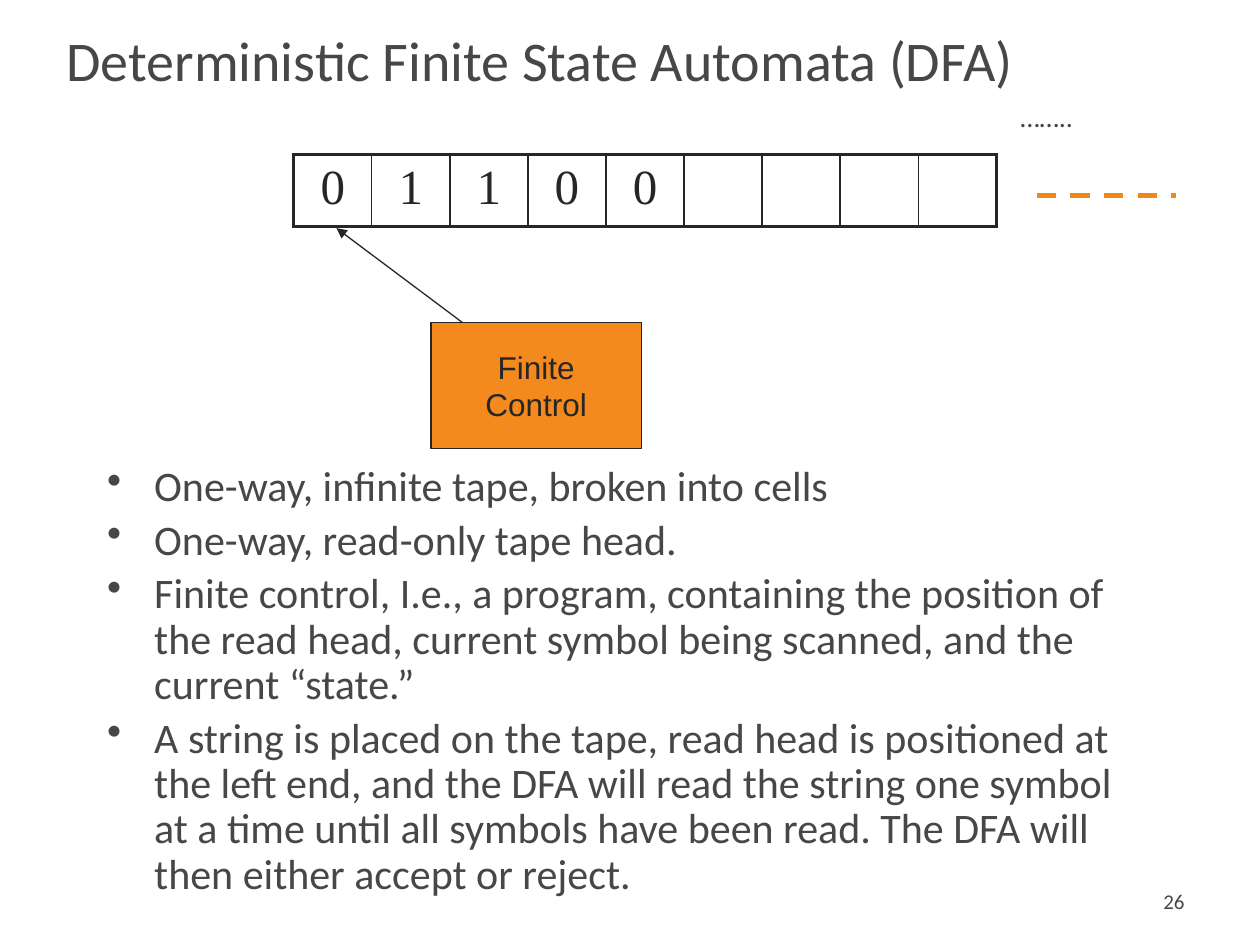
from pptx import Presentation
from pptx.dml.color import RGBColor
from pptx.enum.dml import MSO_LINE
from pptx.enum.shapes import MSO_CONNECTOR, MSO_SHAPE
from pptx.enum.text import MSO_ANCHOR, PP_ALIGN
from pptx.oxml.ns import qn
from pptx.util import Cm, Pt
from lxml.etree import SubElement

GREY = RGBColor(0x47, 0x47, 0x47)
DARK = RGBColor(0x26, 0x26, 0x26)
FILL = RGBColor(0xF4, 0x89, 0x1E)
DASH = RGBColor(0xF4, 0x86, 0x18)

TAPE = ["0", "1", "1", "0", "0", "", "", "", ""]
POINTS = [
    "One-way, infinite tape, broken into cells",
    "One-way, read-only tape head.",
    "Finite control, I.e., a program, containing the position of the read "
    "head, current symbol being scanned, and the current “state.”",
    "A string is placed on the tape, read head is positioned at the left end, "
    "and the DFA will read the string one symbol at a time until all symbols "
    "have been read. The DFA will then either accept or reject.",
]


def style(para, size, name="Calibri", color=GREY, align=PP_ALIGN.LEFT):
    para.alignment = align
    para.font.size = Pt(size)
    para.font.name = name
    para.font.color.rgb = color


def add_text(slide, box, lines, size, align=PP_ALIGN.LEFT,
             anchor=MSO_ANCHOR.MIDDLE):
    frame = slide.shapes.add_textbox(*map(Cm, box)).text_frame
    frame.word_wrap = True
    frame.vertical_anchor = anchor
    frame.text = "\n".join(lines)
    for para in frame.paragraphs:
        style(para, size, align=align)
    return frame


def add_list(slide, box, lines):
    frame = add_text(slide, box, lines, 24, anchor=MSO_ANCHOR.TOP)
    for i, para in enumerate(frame.paragraphs):
        para.line_spacing = 0.9
        para.space_before = Pt(4.8 if i else 0)
        props = para._p.get_or_add_pPr()
        props.set("marL", str(Cm(0.95)))
        props.set("indent", str(-Cm(0.95)))
        mark = props.makeelement(qn("a:buChar"), {"char": "•"})
        props.find(qn("a:defRPr")).addprevious(mark)


def add_edge(cell, side, width):
    edge = SubElement(cell._tc.get_or_add_tcPr(), qn("a:ln" + side),
                      w=str(Pt(width)))
    fill = SubElement(edge, qn("a:solidFill"))
    SubElement(fill, qn("a:srgbClr"), val=str(DARK))


def add_tape(slide, box, marks):
    table = slide.shapes.add_table(1, len(marks), *map(Cm, box)).table
    table.first_row = table.horz_banding = False
    last = len(marks) - 1
    for i, mark in enumerate(marks):
        cell = table.cell(0, i)
        cell.text = mark
        style(cell.text_frame.paragraphs[0], 28, "Times New Roman", DARK,
              PP_ALIGN.CENTER)
        # Thick outer frame, thin lines between cells
        add_edge(cell, "L", 2.25 if i == 0 else 1)
        add_edge(cell, "R", 2.25 if i == last else 1)
        add_edge(cell, "T", 2.25)
        add_edge(cell, "B", 2.25)
        cell.fill.background()


def add_block(slide, box, lines):
    shape = slide.shapes.add_shape(MSO_SHAPE.RECTANGLE, *map(Cm, box))
    shape.shadow.inherit = False
    shape.fill.solid()
    shape.fill.fore_color.rgb = FILL
    shape.line.color.rgb = DARK
    shape.line.width = Pt(0.75)
    frame = shape.text_frame
    frame.vertical_anchor = MSO_ANCHOR.MIDDLE
    frame.text = "\n".join(lines)
    for para in frame.paragraphs:
        style(para, 18, "Arial", DARK, PP_ALIGN.CENTER)


def add_line(slide, ends, color, width):
    link = slide.shapes.add_connector(MSO_CONNECTOR.STRAIGHT, *map(Cm, ends))
    link.line.color.rgb = color
    link.line.width = Pt(width)
    SubElement(link._element.spPr, qn("a:effectLst"))
    return link.line


def main():
    deck = Presentation()
    deck.slide_width, deck.slide_height = Cm(25.4), Cm(19.05)
    slide = deck.slides.add_slide(deck.slide_layouts[6])

    # Title, slide number and list
    add_text(slide, (18.21, 17.65, 5.92, 1.02), ["26"], 12, PP_ALIGN.RIGHT)
    add_text(slide, (1.09, -0.08, 21.59, 2.54),
             ["Deterministic Finite State Automata (DFA)"], 32)
    add_list(slide, (1.91, 9.25, 21.59, 9), POINTS)

    # Control unit and tape
    add_block(slide, (8.69, 6.5, 4.24, 2.54), ["Finite", "Control"])
    add_tape(slide, (5.92, 3.12, 14.17, 1.45), TAPE)

    # Read head
    head = add_line(slide, (9.32, 6.5, 6.78, 4.6), DARK, 0.75)
    SubElement(head._get_or_add_ln(), qn("a:tailEnd"), type="triangle")

    # Endless end of the tape
    add_text(slide, (20.32, 1.88, 2, 0.95), ["…….."], 16,
             anchor=MSO_ANCHOR.TOP)
    rest = add_line(slide, (20.9, 3.94, 23.7, 3.94), DASH, 2.75)
    rest.dash_style = MSO_LINE.DASH

    deck.save("out.pptx")


if __name__ == "__main__":
    main()
